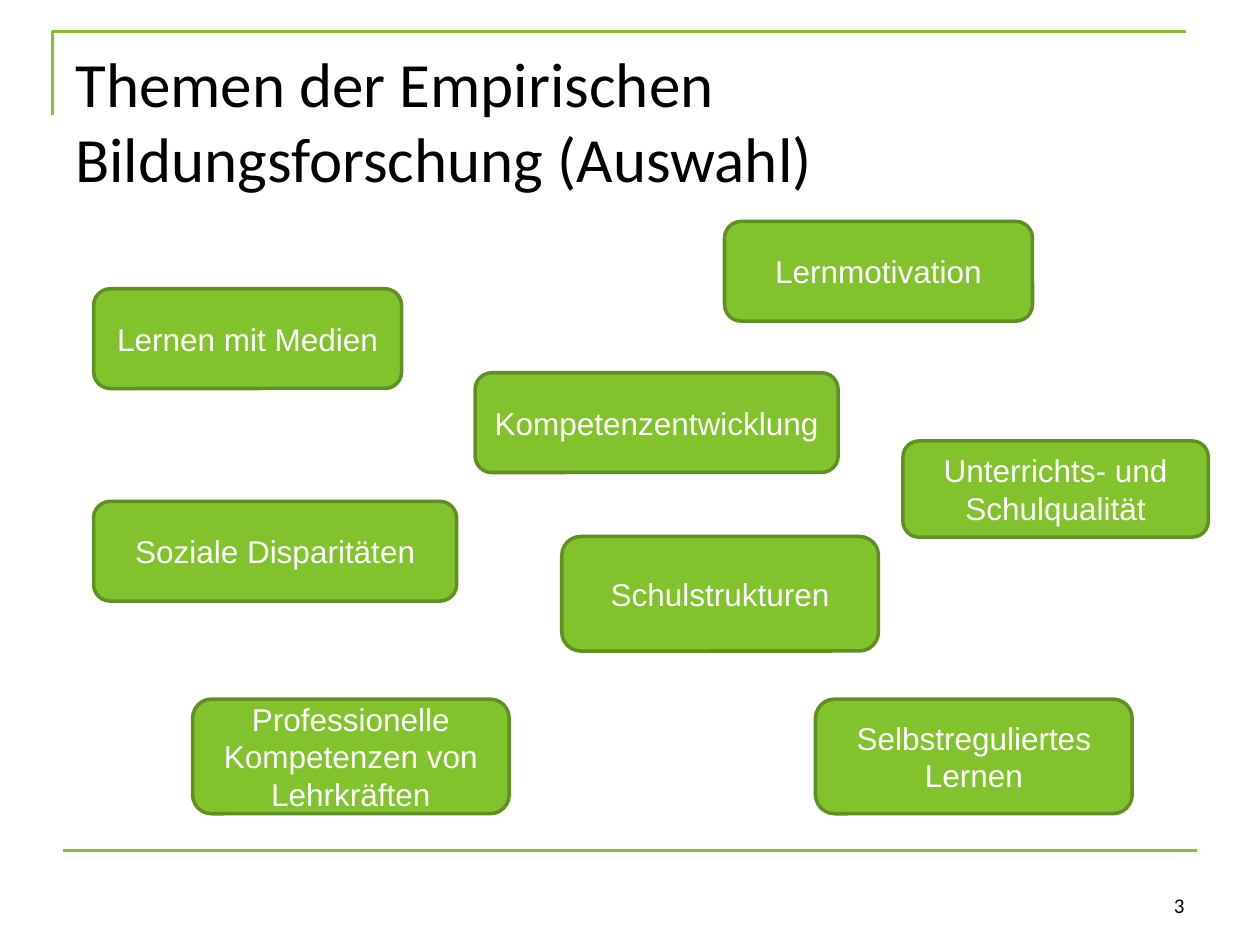
from pptx import Presentation
from pptx.dml.color import RGBColor
from pptx.enum.shapes import MSO_CONNECTOR as Conn, MSO_SHAPE as Shape
from pptx.enum.text import MSO_ANCHOR as Anchor, PP_ALIGN as Align
from pptx.oxml.ns import qn
from pptx.util import Pt
from lxml.etree import SubElement

GREEN = RGBColor(0x82, 0xC2, 0x2C)
DARK = RGBColor(0x60, 0x90, 0x21)
BLACK = RGBColor(0, 0, 0)
WHITE = RGBColor(255, 255, 255)


def write(shape, text, size, name, color, align, anchor):
    frame = shape.text_frame
    frame.word_wrap = True
    frame.vertical_anchor = anchor
    para = frame.paragraphs[0]
    para.text = text
    para.alignment = align
    para.font.size = Pt(size)
    para.font.name = name
    para.font.color.rgb = color


deck = Presentation()
deck.slide_width, deck.slide_height = Pt(720), Pt(540)
slide = deck.slides.add_slide(deck.slide_layouts[6])
shapes = slide.shapes

path = shapes.build_freeform(Pt(30), Pt(66), scale=1.0)
path.add_line_segments([(Pt(30), Pt(18)), (Pt(678), Pt(18))], close=False)
frame = path.convert_to_shape()
frame.shadow.inherit = False
frame.fill.background()

rule = shapes.add_connector(Conn.STRAIGHT, Pt(36), Pt(486), Pt(684), Pt(486))
SubElement(rule._element.spPr, qn("a:effectLst"))

for edge in (frame, rule):
    edge.line.color.rgb = GREEN
    edge.line.width = Pt(1.5)

title = shapes.add_textbox(Pt(36), Pt(21.6), Pt(648), Pt(90))
write(title, "Themen der Empirischen Bildungsforschung (Auswahl)",
      36, "Calibri", BLACK, Align.LEFT, Anchor.TOP)

number = shapes.add_textbox(Pt(516), Pt(492), Pt(168), Pt(36))
write(number, "3", 12, "Calibri", BLACK, Align.RIGHT, Anchor.BOTTOM)

topics = [
    ("Lernen mit Medien", 53.5, 165, 176, 57),
    ("Lernmotivation", 414, 126.5, 176, 57),
    ("Kompetenzentwicklung", 271.5, 213, 207.5, 57),
    ("Soziale Disparitäten", 53.5, 286.5, 207.5, 57),
    ("Unterrichts- und Schulqualität", 516, 252, 174.5, 55),
    ("Professionelle Kompetenzen von Lehrkräften", 110, 399.5, 181, 65.5),
    ("Selbstreguliertes Lernen", 466, 399.5, 181, 65.5),
    ("Schulstrukturen", 321, 306.5, 181, 65.5),
]
for text, *place in topics:
    box = shapes.add_shape(Shape.ROUNDED_RECTANGLE, *map(Pt, place))
    box.shadow.inherit = False
    box.fill.solid()
    box.fill.fore_color.rgb = GREEN
    box.line.color.rgb = DARK
    box.line.width = Pt(2)
    write(box, text, 18, "Arial", WHITE, Align.CENTER, Anchor.MIDDLE)

deck.save("out.pptx")
